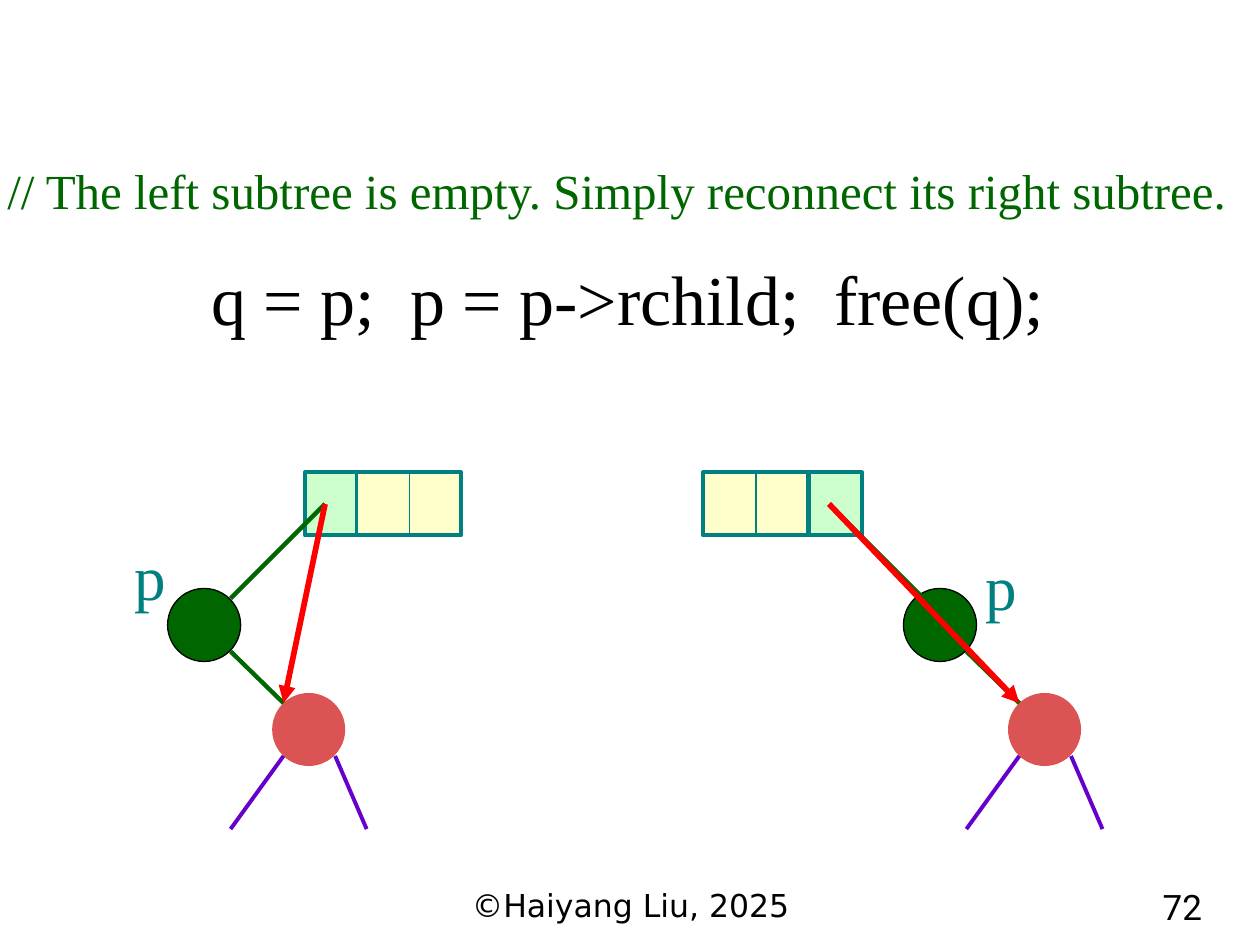
from lxml.etree import SubElement
from pptx import Presentation
from pptx.dml.color import RGBColor
from pptx.enum.shapes import MSO_CONNECTOR, MSO_SHAPE
from pptx.enum.text import MSO_AUTO_SIZE, PP_ALIGN
from pptx.oxml.ns import qn
from pptx.util import Inches, Pt

BLACK = RGBColor(0x00, 0x00, 0x00)
GREEN = RGBColor(0x00, 0x66, 0x00)
TEAL = RGBColor(0x00, 0x80, 0x80)
MINT = RGBColor(0xCC, 0xFF, 0xCC)
CREAM = RGBColor(0xFF, 0xFF, 0xCC)
CORAL = RGBColor(0xDB, 0x53, 0x53)
PURPLE = RGBColor(0x66, 0x00, 0xCC)
RED = RGBColor(0xFF, 0x00, 0x00)

CELL_TOP, CELL_WIDTH, CELL_HEIGHT = 3.75, 0.42, 0.5
NODE_SIZE = 0.58


def add_text(page, text, left, top, width, height, *, size, color=BLACK,
             font="Times New Roman", align=PP_ALIGN.LEFT, wrap=False, spacing=None):
    box = page.shapes.add_textbox(Inches(left), Inches(top), Inches(width), Inches(height))
    frame = box.text_frame
    frame.word_wrap = wrap
    frame.auto_size = MSO_AUTO_SIZE.NONE if wrap else MSO_AUTO_SIZE.SHAPE_TO_FIT_TEXT
    para = frame.paragraphs[0]
    para.alignment = align
    para.line_spacing = spacing
    span = para.add_run()
    span.text = text
    span.font.name = font
    span.font.size = Pt(size)
    span.font.color.rgb = color


def add_block(page, kind, left, top, width, height, fill, line=None, weight=0.75):
    block = page.shapes.add_shape(kind, Inches(left), Inches(top), Inches(width), Inches(height))
    block.shadow.inherit = False
    block.fill.solid()
    block.fill.fore_color.rgb = fill
    if line is None:
        block.line.fill.background()
    else:
        block.line.color.rgb = line
        block.line.width = Pt(weight)


def add_line(page, start, end, color, weight, arrow=False):
    line = page.shapes.add_connector(
        MSO_CONNECTOR.STRAIGHT, *(Inches(value) for value in (*start, *end)))
    line.line.color.rgb = color
    line.line.width = Pt(weight)
    if arrow:
        SubElement(line.line._get_or_add_ln(), qn("a:tailEnd"), type="triangle")
    SubElement(line._element.spPr, qn("a:effectLst"))


def add_parent(page, pointer, others):
    """Record of the parent: the pointer cell in use, then the two other cells."""
    rectangle = MSO_SHAPE.RECTANGLE
    add_block(page, rectangle, pointer, CELL_TOP, CELL_WIDTH, CELL_HEIGHT, MINT, TEAL, 2.25)
    add_block(page, rectangle, others, CELL_TOP, 0.83, CELL_HEIGHT, CREAM, TEAL, 2.25)
    middle = others + CELL_WIDTH
    add_line(page, (middle, CELL_TOP), (middle, CELL_TOP + CELL_HEIGHT), TEAL, 0.75)


def add_subtree(page, left, pointer, join):
    """Deleted node p at left, its right child, and the relinked pointer."""
    add_block(page, MSO_SHAPE.OVAL, left, 4.67, NODE_SIZE, NODE_SIZE, GREEN, BLACK)
    add_block(page, MSO_SHAPE.OVAL, left + 0.83, 5.5, NODE_SIZE, NODE_SIZE, CORAL)

    # Branches below the child
    add_line(page, (left + 0.92, 6), (left + 0.5, 6.58), PURPLE, 2.25)
    add_line(page, (left + 1.33, 6), (left + 1.58, 6.58), PURPLE, 2.25)

    # Old links through p, then the new link past it
    source, child = (pointer + 0.16, 4), (left + 0.92, 5.58)
    add_line(page, (left + 0.5, 5.17), child, GREEN, 2.5)
    add_line(page, source, (left + join, 4.75), GREEN, 2.5)
    add_line(page, source, child, RED, 3.25, arrow=True)


def main():
    deck = Presentation()
    deck.slide_width, deck.slide_height = Inches(10), Inches(7.5)
    page = deck.slides.add_slide(deck.slide_layouts[6])

    # Comment and code
    add_text(page, "// The left subtree is empty. Simply reconnect its right subtree.",
             -0.04, 0.99, 9.89, 0.81, size=28, color=GREEN, spacing=1.5)
    add_text(page, "q = p;  p = p->rchild;  free(q);", 1.58, 1.98, 6.82, 0.77, size=40)

    # p as a left child, and p as a right child
    for pointer, others, left, join, label in (
        (2.42, 2.83, 1.33, 0.5, (0.97, 4.22)),
        (6.42, 5.58, 7.17, 0.16, (7.72, 4.3)),
    ):
        add_parent(page, pointer, others)
        add_subtree(page, left, pointer, join)
        add_text(page, "p", *label, 0.45, 0.7, size=36, color=TEAL)

    # Footer
    add_text(page, "©Haiyang Liu, 2025", 3.42, 6.98, 3.17, 0.39, size=18,
             font="DejaVu Sans", align=PP_ALIGN.CENTER, wrap=True)
    add_text(page, "72", 8.11, 6.98, 1.53, 0.39, size=20,
             font="Roboto", align=PP_ALIGN.RIGHT, wrap=True)

    deck.save("out.pptx")


if __name__ == "__main__":
    main()
